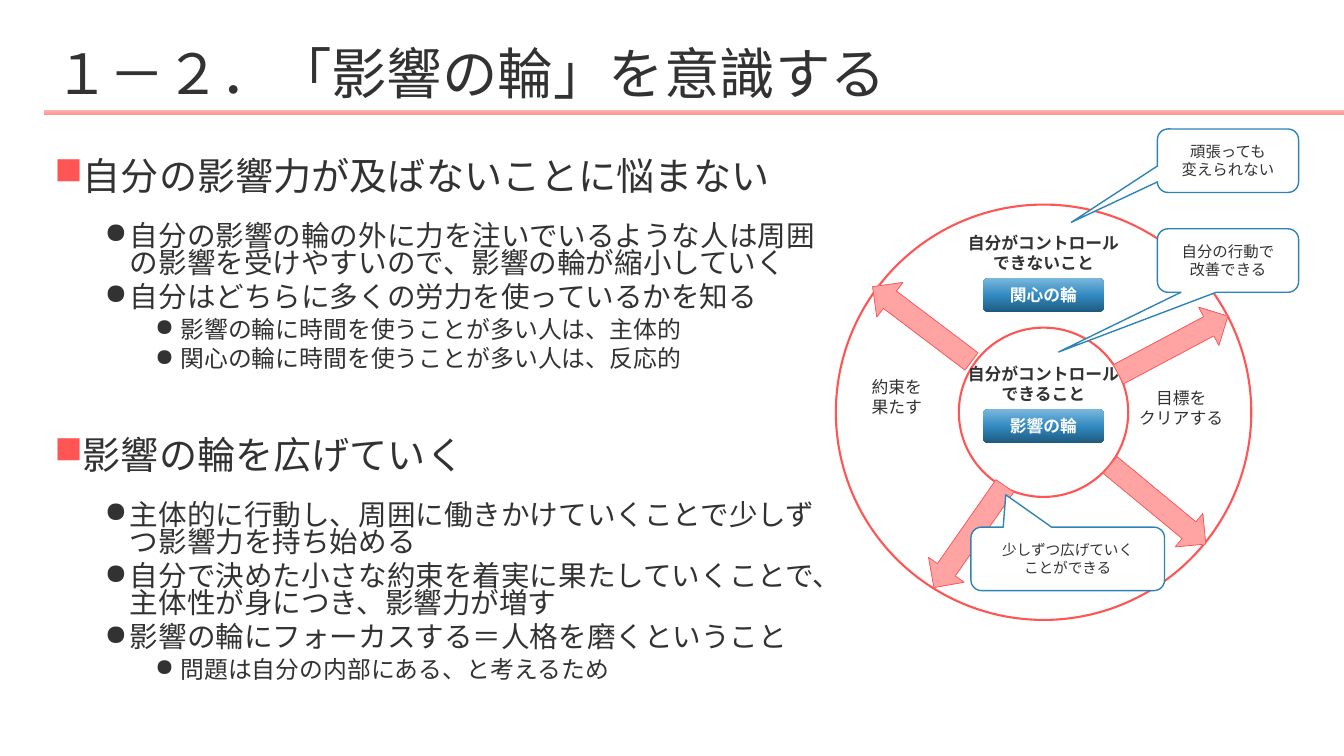
import copy
from dataclasses import dataclass
from typing import Any, Optional

import pptx
import pptx.dml.color
import pptx.enum.shapes
import pptx.enum.text
import pptx.oxml.ns
import pptx.util
from lxml import etree

Inches = pptx.util.Inches
Pt = pptx.util.Pt
qn = pptx.oxml.ns.qn
SHAPES = pptx.enum.shapes.MSO_SHAPE
ALIGN = pptx.enum.text.PP_ALIGN
ANCHOR = pptx.enum.text.MSO_ANCHOR

FONT = "Noto Sans CJK JP"
LINE_HEIGHT = 1.19  # single line pitch as a share of the text size
INK, WHITE, RED, BLUE = "323232", "FFFFFF", "FF5555", "2E83B8"


@dataclass(frozen=True)
class Gradient:
    stops: tuple[tuple[float, str], ...]
    angle: float  # counter-clockwise degrees


PINK = Gradient(((0, "FFB4B4"), (0.5, "FFA3A3"), (1, "FF9595")), 270)
GLOSSY_BLUE = Gradient(((0, "1F587B"), (0.48, "3088BF"), (1, "79B7DD")), 90)


@dataclass(frozen=True)
class Box:
    left: float
    top: float
    width: float
    height: float

    def lengths(self) -> list[int]:
        return [Inches(v) for v in (self.left, self.top, self.width, self.height)]


@dataclass(frozen=True)
class Level:
    size: float
    spacing: float
    before: float
    after: float
    indent: float
    bullet: str
    bullet_color: str


@dataclass(frozen=True)
class Label:
    text: str
    box: Box
    bold: bool = False


@dataclass(frozen=True)
class Arrow:
    left: float
    top: float
    rotation: float


@dataclass(frozen=True)
class Callout:
    text: str
    box: Box
    tip: tuple[float, float]
    size: float = 11


LEVELS = (
    Level(27.2, 1.2, 36, 14, 0.25, "■", RED),
    Level(20.4, 0.8, 5, 0, 0.75, "●", INK),
    Level(17, 0.8, 5, 0, 1.25, "●", INK),
)
OUTLINE = (
    (0, "自分の影響力が及ばないことに悩まない"),
    (1, "自分の影響の輪の外に力を注いでいるような人は周囲の影響を受けやすいので、影響の輪が縮小していく"),
    (1, "自分はどちらに多くの労力を使っているかを知る"),
    (2, "影響の輪に時間を使うことが多い人は、主体的"),
    (2, "関心の輪に時間を使うことが多い人は、反応的"),
    (0, "影響の輪を広げていく"),
    (1, "主体的に行動し、周囲に働きかけていくことで少しずつ影響力を持ち始める"),
    (1, "自分で決めた小さな約束を着実に果たしていくことで、主体性が身につき、影響力が増す"),
    (1, "影響の輪にフォーカスする＝人格を磨くということ"),
    (2, "問題は自分の内部にある、と考えるため"),
)
WHEEL_CENTER = (10.35, 4.09)
WHEEL_DIAMETERS = (4.12, 1.68)
LABELS = (
    Label("自分がコントロールできないこと", Box(9.45, 2.26, 1.8, 0.5), True),
    Label("自分がコントロールできること", Box(9.45, 3.56, 1.8, 0.5), True),
    Label("約束を\n果たす", Box(8.43, 3.69, 0.93, 0.5)),
    Label("目標を\nクリアする", Box(11.17, 3.8, 1.09, 0.5)),
)
WHEEL_NAMES = (
    Label("関心の輪", Box(9.75, 2.76, 1.2, 0.34), True),
    Label("影響の輪", Box(9.75, 4.06, 1.2, 0.34), True),
)
ARROWS = (
    Arrow(8.53, 3, 37.1),
    Arrow(9, 5.11, 304.9),
    Arrow(10.87, 4.79, 219.6),
    Arrow(11.02, 3.21, 152),
)
OUTER_CALLOUTS = (
    Callout("頑張っても\n変えられない", Box(11.48, 1.28, 1.4, 0.63), (-1.11, 0.97)),
    Callout("自分の行動で改善できる", Box(11.48, 2.27, 1.4, 0.63), (-1.2, 1.44)),
)
GROWTH_CALLOUT = Callout(
    "少しずつ広げていく\nことができる", Box(9.63, 5.23, 1.92, 0.63), (-0.32, -1.01), 10.5)


def rgb(color: str) -> pptx.dml.color.RGBColor:
    return pptx.dml.color.RGBColor.from_string(color)


def fill_gradient(shape: Any, gradient: Gradient) -> None:
    shape.fill.gradient()
    stop_list = shape._element.spPr.find(qn("a:gradFill")).find(qn("a:gsLst"))
    stop_list.append(copy.deepcopy(stop_list[0]))
    for stop, (position, color) in zip(shape.fill.gradient_stops, gradient.stops):
        stop.position = position
        stop.color.rgb = rgb(color)
    shape.fill.gradient_angle = gradient.angle


def add_figure(slide: Any, kind: Any, box: Box, fill: "str | Gradient",
               line: Optional[str] = None, line_width: float = 1) -> Any:
    shape = slide.shapes.add_shape(kind, *box.lengths())
    shape.shadow.inherit = False
    if isinstance(fill, Gradient):
        fill_gradient(shape, fill)
    else:
        shape.fill.solid()
        shape.fill.fore_color.rgb = rgb(fill)
    if line is None:
        shape.line.fill.background()
    else:
        shape.line.color.rgb = rgb(line)
        shape.line.width = Pt(line_width)
    return shape


def add_run(paragraph: Any, text: str, size: float, color: str = INK,
            bold: bool = False, spacing: float = 1) -> None:
    paragraph.line_spacing = Pt(round(size * LINE_HEIGHT * spacing, 1))
    run = paragraph.add_run()
    run.text = text
    run.font.size = Pt(size)
    run.font.bold = bold
    run.font.color.rgb = rgb(color)
    run.font.name = FONT
    etree.SubElement(run.font._element, qn("a:ea")).set("typeface", FONT)


def write_centered(shape: Any, text: str, size: float, color: str = INK,
                   bold: bool = False) -> None:
    frame = shape.text_frame
    frame.word_wrap = True
    for index, line in enumerate(text.split("\n")):
        paragraph = frame.add_paragraph() if index else frame.paragraphs[0]
        paragraph.alignment = ALIGN.CENTER
        add_run(paragraph, line, size, color, bold)


def set_bullet(paragraph: Any, level: Level) -> None:
    properties = paragraph._p.get_or_add_pPr()
    properties.set("marL", str(Inches(level.indent)))
    properties.set("indent", str(Inches(-0.25)))
    bullet_color = etree.SubElement(properties, qn("a:buClr"))
    etree.SubElement(bullet_color, qn("a:srgbClr")).set("val", level.bullet_color)
    etree.SubElement(properties, qn("a:buChar")).set("char", level.bullet)


def add_title(slide: Any) -> None:
    add_figure(slide, SHAPES.RECTANGLE, Box(0.44, 1.09, 12.89, 0.05), PINK)
    frame = slide.shapes.add_textbox(*Box(0.44, 0.39, 12.53, 0.73).lengths()).text_frame
    frame.word_wrap = True
    frame.vertical_anchor = ANCHOR.MIDDLE
    add_run(frame.paragraphs[0], "１－２．「影響の輪」を意識する", 39.6, spacing=0.9)


def add_outline(slide: Any) -> None:
    frame = slide.shapes.add_textbox(*Box(0.44, 1.38, 7.92, 5.64).lengths()).text_frame
    frame.word_wrap = True
    for index, (depth, text) in enumerate(OUTLINE):
        level = LEVELS[depth]
        paragraph = frame.add_paragraph() if index else frame.paragraphs[0]
        paragraph.level = depth
        set_bullet(paragraph, level)
        paragraph.space_before = Pt(level.before if index else 0)
        paragraph.space_after = Pt(level.after)
        add_run(paragraph, text, level.size, spacing=level.spacing)


def add_callout(slide: Any, callout: Callout) -> None:
    shape = add_figure(slide, SHAPES.ROUNDED_RECTANGULAR_CALLOUT, callout.box, WHITE, BLUE)
    shape.adjustments[0], shape.adjustments[1] = callout.tip
    frame = shape.text_frame
    frame.vertical_anchor = ANCHOR.MIDDLE
    frame.margin_left = frame.margin_right = Inches(0.2)
    frame.margin_top = frame.margin_bottom = Inches(0.2)
    write_centered(shape, callout.text, callout.size)


def add_wheel(slide: Any) -> None:
    for size in WHEEL_DIAMETERS:
        left, top = (center - size / 2 for center in WHEEL_CENTER)
        add_figure(slide, SHAPES.OVAL, Box(left, top, size, size), WHITE, RED, 1.5)
    for label in LABELS:
        caption = slide.shapes.add_textbox(*label.box.lengths())
        write_centered(caption, label.text, 12, bold=label.bold)
    for label in WHEEL_NAMES:
        button = add_figure(slide, SHAPES.ROUNDED_RECTANGLE, label.box, GLOSSY_BLUE)
        button.text_frame.vertical_anchor = ANCHOR.MIDDLE
        write_centered(button, label.text, 12, WHITE, label.bold)
    for callout in OUTER_CALLOUTS:
        add_callout(slide, callout)
    for arrow in ARROWS:
        box = Box(arrow.left, arrow.top, 1.23, 0.43)
        add_figure(slide, SHAPES.LEFT_ARROW, box, PINK, RED, 0.5).rotation = arrow.rotation
    add_callout(slide, GROWTH_CALLOUT)


def main() -> None:
    deck = pptx.Presentation()
    deck.slide_width, deck.slide_height = Inches(13.33), Inches(7.5)
    slide = deck.slides.add_slide(deck.slide_layouts[6])
    add_title(slide)
    add_outline(slide)
    add_wheel(slide)
    deck.save("out.pptx")


if __name__ == "__main__":
    main()
